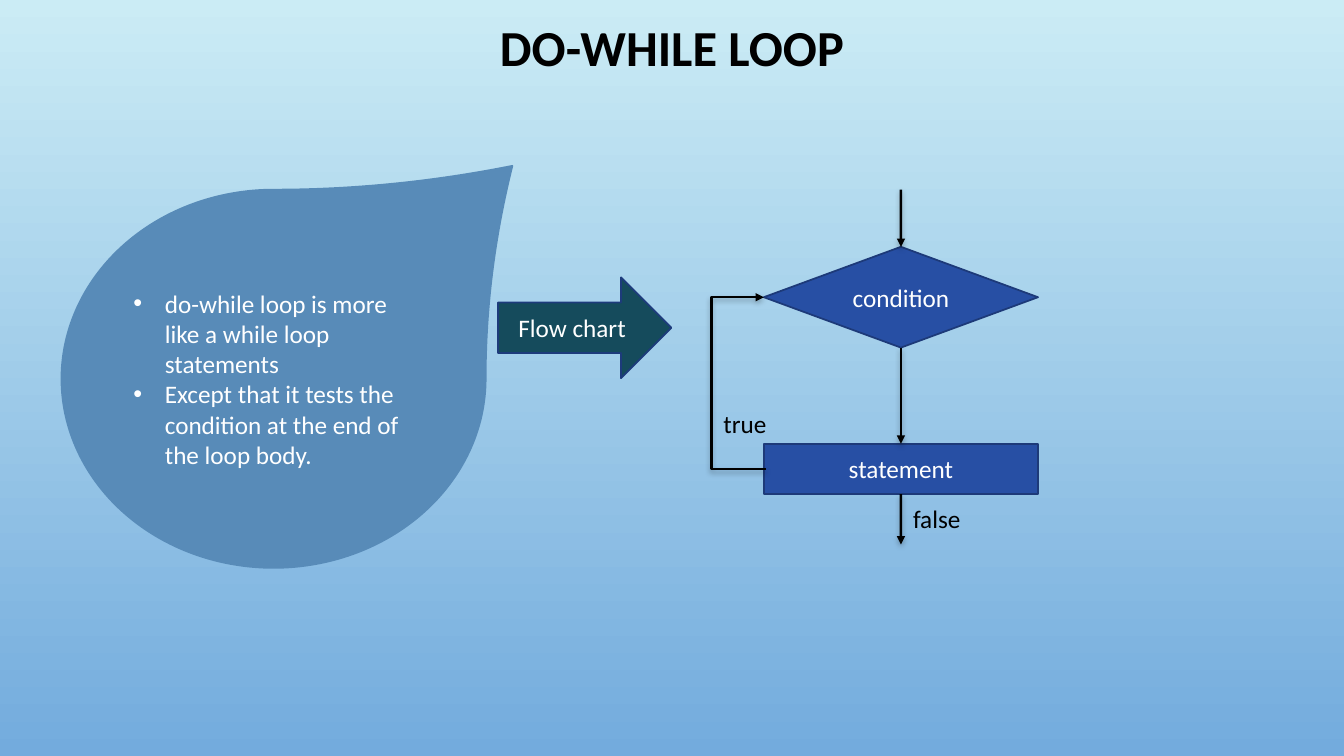
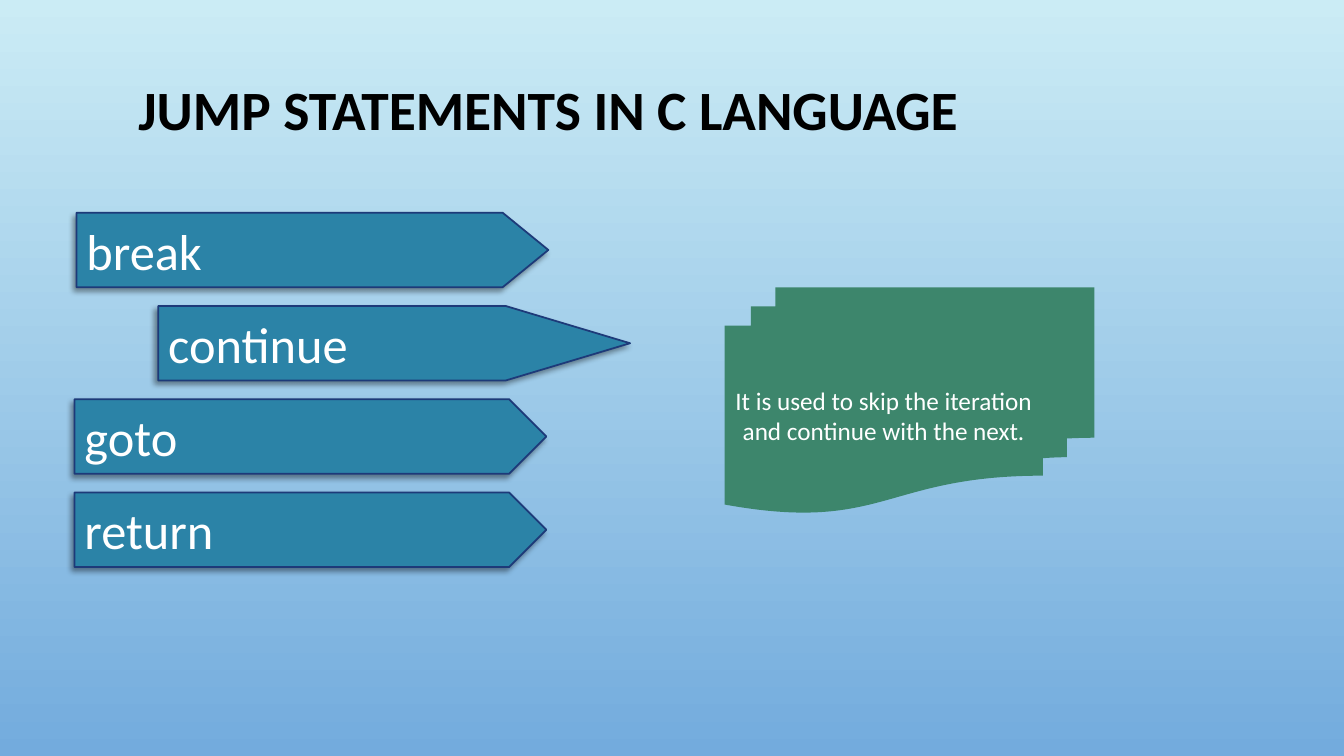
from dataclasses import dataclass
from typing import Optional

import lxml.etree
import pptx
import pptx.dml.color
import pptx.enum.shapes
import pptx.enum.text
import pptx.oxml.ns
import pptx.util

Cm = pptx.util.Cm
Pt = pptx.util.Pt
qn = pptx.oxml.ns.qn
Preset = pptx.enum.shapes.MSO_SHAPE
Connector = pptx.enum.shapes.MSO_CONNECTOR
Align = pptx.enum.text.PP_ALIGN
Anchor = pptx.enum.text.MSO_ANCHOR

FONT = "Calibri"
BLACK = "000000"
WHITE = "FFFFFF"
SKY_TOP = "CBECF5"
SKY_BOTTOM = "73ABDD"
DROP_BLUE = "588BB8"
ARROW_TEAL = "154B5C"
ARROW_EDGE = "1D3B7B"
NODE_BLUE = "274FA4"
NODE_EDGE = "1D3A79"
TAG_BLUE = "2B83A7"
DOCUMENT_GREEN = "3D866C"


@dataclass(frozen=True)
class Box:
    """A rectangle in centimetres."""
    left: float
    top: float
    width: float
    height: float

    def lengths(self) -> tuple:
        return Cm(self.left), Cm(self.top), Cm(self.width), Cm(self.height)


@dataclass(frozen=True)
class Shadow:
    opacity: int
    blur: float
    distance: float
    angle: int


@dataclass(frozen=True)
class Panel:
    """A filled preset shape with text inside."""
    preset: Preset
    box: Box
    fill: str
    texts: tuple
    edge: Optional[str] = None
    size: float = 18
    align: Align = Align.CENTER
    bulleted: bool = False
    adjustment: Optional[float] = None
    shadow: Optional[Shadow] = None


@dataclass(frozen=True)
class Tag:
    word: str
    left: float
    point: float = 0.5


LINE_SHADOW = Shadow(28, 4, 2, 90)
TAG_SHADOW = Shadow(40, 4, 3, 135)


def colour(value: str) -> pptx.dml.color.RGBColor:
    return pptx.dml.color.RGBColor.from_string(value)


def add_child(parent, tag: str, **attributes):
    child = lxml.etree.SubElement(parent, qn(tag))
    for name, value in attributes.items():
        child.set(name, str(value))
    return child


def add_shadow(effects, shadow: Shadow) -> None:
    outer = add_child(effects, "a:outerShdw", blurRad=Pt(shadow.blur), dist=Pt(shadow.distance),
                      dir=shadow.angle * 60000, algn="ctr", rotWithShape=0)
    tint = add_child(outer, "a:srgbClr", val=BLACK)
    add_child(tint, "a:alpha", val=shadow.opacity * 1000)


def add_bullet(paragraph) -> None:
    properties = paragraph._p.get_or_add_pPr()
    indent = Cm(0.79)
    properties.set("marL", str(indent))
    properties.set("indent", str(-indent))
    add_child(properties, "a:buFont", typeface="Arial")
    add_child(properties, "a:buChar", char="•")


def add_run(paragraph, text: str, size: float, text_colour: str, bold: bool = False) -> None:
    run = paragraph.add_run()
    run.text = text
    run.font.name = FONT
    run.font.size = Pt(size)
    run.font.bold = bold
    run.font.color.rgb = colour(text_colour)


def add_slide(presentation, title: str, title_box: Box, title_size: float):
    slide = presentation.slides.add_slide(presentation.slide_layouts[6])
    fill = slide.background.fill
    fill.gradient()
    fill.gradient_angle = 270
    for stop, value in zip(fill.gradient_stops, (SKY_TOP, SKY_BOTTOM)):
        stop.color.rgb = colour(value)
    frame = slide.shapes.add_textbox(*title_box.lengths()).text_frame
    frame.word_wrap = True
    frame.vertical_anchor = Anchor.MIDDLE
    paragraph = frame.paragraphs[0]
    paragraph.alignment = Align.CENTER
    paragraph.line_spacing = 0.9
    add_run(paragraph, title, title_size, BLACK, bold=True)
    return slide


def add_panel(slide, panel: Panel):
    shape = slide.shapes.add_shape(panel.preset, *panel.box.lengths())
    if panel.adjustment is not None:
        shape.adjustments[0] = panel.adjustment
    shape.fill.solid()
    shape.fill.fore_color.rgb = colour(panel.fill)
    if panel.edge:
        shape.line.color.rgb = colour(panel.edge)
        shape.line.width = Pt(1.25)
    else:
        shape.line.fill.background()
    shape.shadow.inherit = False
    if panel.shadow:
        add_shadow(shape.element.spPr.find(qn("a:effectLst")), panel.shadow)
    frame = shape.text_frame
    frame.word_wrap = True
    frame.vertical_anchor = Anchor.MIDDLE
    for index, text in enumerate(panel.texts):
        paragraph = frame.add_paragraph() if index else frame.paragraphs[0]
        paragraph.alignment = panel.align
        if panel.bulleted:
            add_bullet(paragraph)
        add_run(paragraph, text, panel.size, WHITE)
    return shape


def add_label(slide, text: str, box: Box) -> None:
    frame = slide.shapes.add_textbox(*box.lengths()).text_frame
    frame.word_wrap = False
    add_run(frame.paragraphs[0], text, 18, BLACK)


def add_arrow(slide, kind: Connector, start: tuple, end: tuple):
    connector = slide.shapes.add_connector(kind, *(Cm(value) for value in start + end))
    connector.line.color.rgb = colour(BLACK)
    connector.line.width = Pt(1.75)
    properties = connector.element.spPr
    add_child(properties.find(qn("a:ln")), "a:tailEnd", type="triangle")
    add_shadow(add_child(properties, "a:effectLst"), LINE_SHADOW)
    return connector


def add_loop_back(slide, start: tuple, end: tuple, reach: float) -> None:
    """Draw a bent arrow up from start to end, bulging left by reach."""
    connector = add_arrow(slide, Connector.ELBOW, end, start)
    properties = connector.element.spPr
    properties.find(qn("a:xfrm")).set("rot", str(180 * 60000))
    geometry = properties.find(qn("a:prstGeom"))
    values = geometry.find(qn("a:avLst"))
    if values is None:
        values = add_child(geometry, "a:avLst")
    bend = round(reach / (start[0] - end[0]) * 100000)
    add_child(values, "a:gd", name="adj1", fmla=f"val {bend}")


def build_do_while(presentation) -> None:
    slide = add_slide(presentation, "DO-WHILE LOOP", Box(5.08, 0, 23.71, 2.54), 36)
    add_panel(slide, Panel(
        Preset.TEAR, Box(1.55, 4.78, 10.69, 9.53), DROP_BLUE,
        ("do-while loop is more like a while loop statements",
         "Except that it tests the condition at the end of the loop body."),
        edge=DROP_BLUE, align=Align.LEFT, bulleted=True, adjustment=1.126))
    add_panel(slide, Panel(Preset.RIGHT_ARROW, Box(12.55, 6.99, 4.37, 2.54), ARROW_TEAL,
                           ("Flow chart",), edge=ARROW_EDGE))

    node_left, node_width = 19.25, 6.91
    middle = node_left + node_width / 2
    condition_box = Box(node_left, 6.22, node_width, 2.54)
    statement_box = Box(node_left, 11.18, node_width, 1.27)
    condition = add_panel(slide, Panel(Preset.FLOWCHART_DECISION, condition_box, NODE_BLUE,
                                       ("condition",), edge=NODE_EDGE))
    statement = add_panel(slide, Panel(Preset.RECTANGLE, statement_box, NODE_BLUE,
                                       ("statement",), edge=NODE_EDGE))

    add_loop_back(slide, (node_left + 0.05, statement_box.top + statement_box.height / 2),
                  (node_left, condition_box.top + condition_box.height / 2), 1.37)
    condition_bottom = condition_box.top + condition_box.height
    statement_bottom = statement_box.top + statement_box.height
    step = add_arrow(slide, Connector.STRAIGHT, (middle, condition_bottom),
                     (middle, statement_box.top))
    step.begin_connect(condition, 2)
    step.end_connect(statement, 0)
    entry = add_arrow(slide, Connector.STRAIGHT, (middle, 4.78), (middle, condition_box.top))
    entry.end_connect(condition, 0)
    add_label(slide, "false", Box(22.76, 12.55, 1.96, 1.02))
    add_label(slide, "true", Box(17.98, 10.16, 1.73, 1.02))
    leave = add_arrow(slide, Connector.STRAIGHT, (middle, statement_bottom), (middle, 13.72))
    leave.begin_connect(statement, 2)


def build_jump_statements(presentation) -> None:
    slide = add_slide(presentation, "JUMP STATEMENTS IN C LANGUAGE",
                      Box(1.88, 1.7, 23.88, 2.26), 39.6)
    tags = (Tag("break", 1.93, 0.613), Tag("continue", 3.99, 1.67),
            Tag("goto", 1.88), Tag("return", 1.88))
    first_top, pitch = 5.36, 2.35
    for row, tag in enumerate(tags):
        add_panel(slide, Panel(
            Preset.PENTAGON, Box(tag.left, first_top + row * pitch, 11.89, 1.88), TAG_BLUE,
            (tag.word,), edge=NODE_EDGE, size=36, align=Align.LEFT,
            adjustment=tag.point, shadow=TAG_SHADOW))
    add_panel(slide, Panel(Preset.FLOWCHART_MULTIDOCUMENT, Box(18.26, 7.24, 9.32, 5.69),
                           DOCUMENT_GREEN,
                           ("It is used to skip the iteration and continue with the next.",)))


def main() -> None:
    presentation = pptx.Presentation()
    presentation.slide_width = Cm(33.87)
    presentation.slide_height = Cm(19.05)
    build_do_while(presentation)
    build_jump_statements(presentation)
    presentation.save("out.pptx")


if __name__ == "__main__":
    main()
